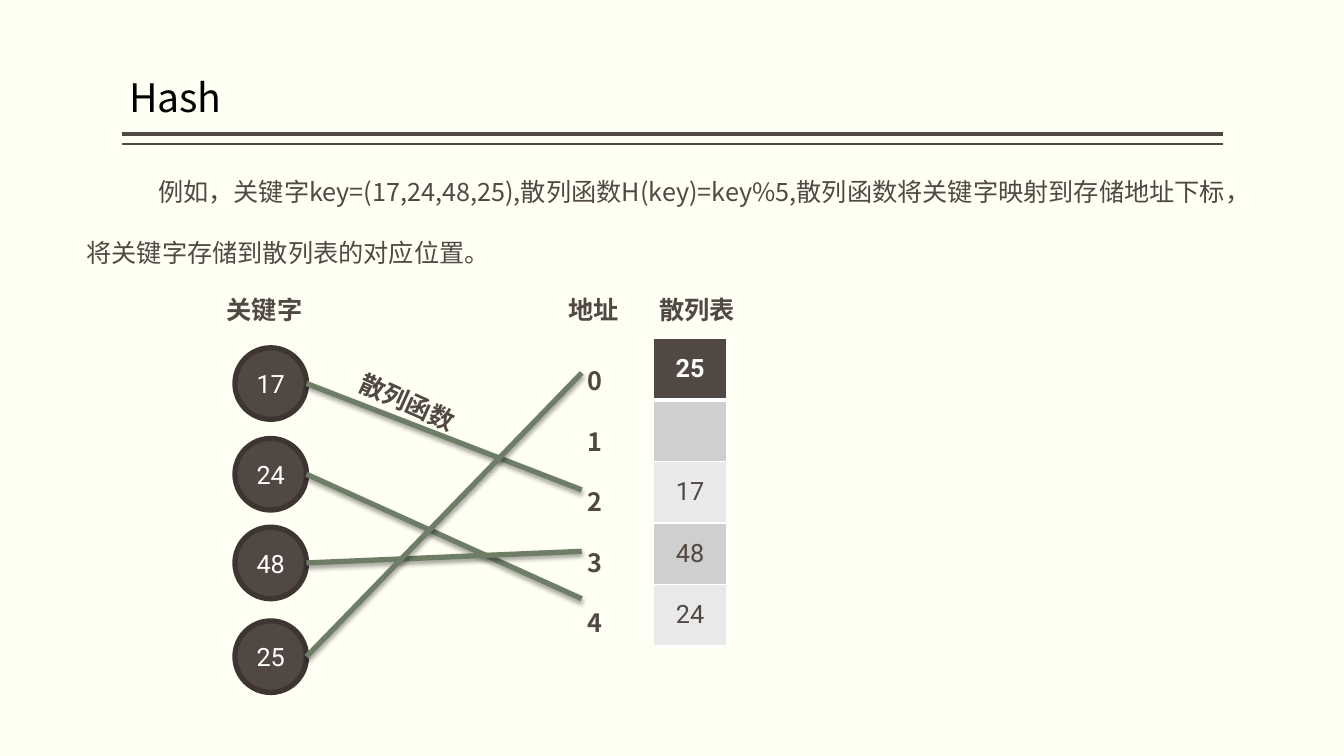
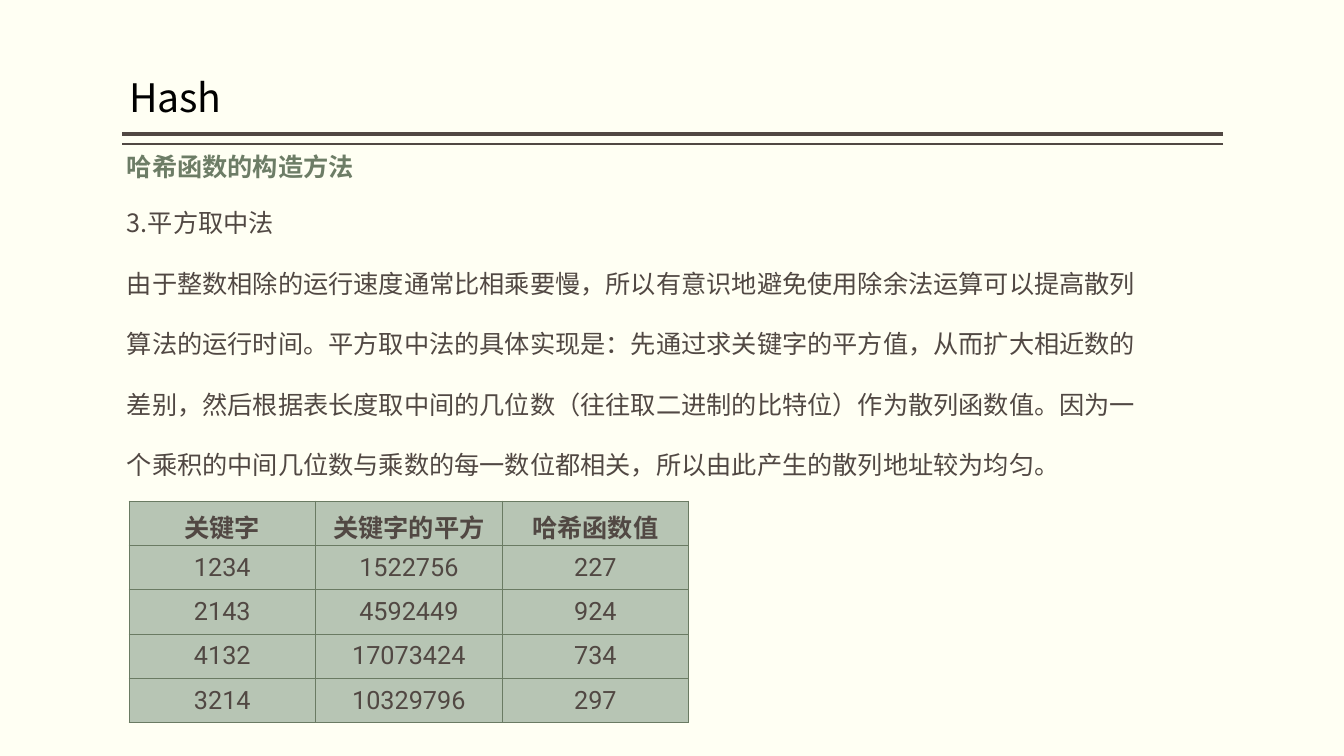
from lxml import etree
from pptx import Presentation
from pptx.dml.color import RGBColor
from pptx.enum.shapes import MSO_CONNECTOR, MSO_SHAPE
from pptx.enum.text import MSO_ANCHOR, PP_ALIGN
from pptx.oxml.ns import qn
from pptx.util import Inches, Pt

STRAIGHT = MSO_CONNECTOR.STRAIGHT
OVAL = MSO_SHAPE.OVAL
TOP, MIDDLE, BOTTOM = MSO_ANCHOR.TOP, MSO_ANCHOR.MIDDLE, MSO_ANCHOR.BOTTOM
CENTER = PP_ALIGN.CENTER

# Shared style
COLORS = {
    "paper": "FFFFF3", "title": "000000", "ink": "514843", "ring": "3C3532",
    "green": "6D7D66", "grid": "6A7B63", "sage": "B7C5B4",
    "white": "FFFFFF", "band_dark": "D0CFCF", "band_light": "E9E9E9",
}
CJK, LATIN = "Noto Sans CJK SC", "Roboto"
BODY_SIZE = 18
FIRST_LINE = 0.71
TITLE = "Hash"
TITLE_RULES = [(1.33, 3), (1.43, 1)]  # y, width in points

# Slide 1: mapping keys to addresses
EXAMPLE = ("例如，关键字key=(17,24,48,25),散列函数H(key)=key%5,"
           "散列函数将关键字映射到存储地址下标，将关键字存储到散列表的对应位置。")
HEADINGS = [("关键字", 2.15), ("地址", 5.54), ("散列表", 6.44)]
ADDRESSES = ["0", "1", "2", "3", "4"]
KEYS = [  # key, circle top, arrival height at its address
    ("17", 3.45, 4.86),
    ("24", 4.35, 5.94),
    ("48", 5.23, 5.47),
    ("25", 6.16, 3.70),
]
HASH_TABLE = [["25"], [""], ["17"], ["48"], ["24"]]
CIRCLE_LEFT, CIRCLE_SIZE, ADDRESS_X = 2.33, 0.71, 5.77

# Slide 2: mid-square method
METHOD_HEADING = "哈希函数的构造方法"
METHOD = [
    "3.平方取中法",
    "由于整数相除的运行速度通常比相乘要慢，所以有意识地避免使用除余法运算可以提高"
    "散列算法的运行时间。平方取中法的具体实现是：先通过求关键字的平方值，从而扩大相近数"
    "的差别，然后根据表长度取中间的几位数（往往取二进制的比特位）作为散列函数值。"
    "因为一个乘积的中间几位数与乘数的每一数位都相关，所以由此产生的散列地址较为均匀。",
]
SQUARES = [
    ["关键字", "关键字的平方", "哈希函数值"],
    ["1234", "1522756", "227"],
    ["2143", "4592449", "924"],
    ["4132", "17073424", "734"],
    ["3214", "10329796", "297"],
]


def rgb(name):
    return RGBColor.from_string(COLORS[name])


def add_run(paragraph, text, size=BODY_SIZE, font=CJK, color="ink", bold=False):
    run = paragraph.add_run()
    run.text = text
    run.font.size = Pt(size)
    run.font.bold = bold
    run.font.color.rgb = rgb(color)
    run.font.name = font
    etree.SubElement(run.font._element, qn("a:ea")).set("typeface", CJK)


def add_text(slide, paragraphs, left, top, width, height, spacing=None,
             indent=0, anchor=TOP, **style):
    box = slide.shapes.add_textbox(
        Inches(left), Inches(top), Inches(width), Inches(height))
    frame = box.text_frame
    frame.word_wrap = True
    frame.vertical_anchor = anchor
    for i, text in enumerate(paragraphs):
        paragraph = frame.add_paragraph() if i else frame.paragraphs[0]
        if indent:
            properties = paragraph._p.get_or_add_pPr()
            properties.set("marL", "0")
            properties.set("indent", str(Inches(indent)))
        if spacing:
            paragraph.line_spacing = spacing
        add_run(paragraph, text, **style)
    return box


def add_line(slide, x1, y1, x2, y2, color, width, shadow=False):
    line = slide.shapes.add_connector(
        STRAIGHT, Inches(x1), Inches(y1), Inches(x2), Inches(y2))
    line.line.color.rgb = rgb(color)
    line.line.width = Pt(width)
    effects = etree.SubElement(line._element.spPr, qn("a:effectLst"))
    if shadow:
        outer = etree.SubElement(
            effects, qn("a:outerShdw"), blurRad=str(Pt(3.5)),
            dist=str(Pt(2)), dir="5400000", rotWithShape="0")
        black = etree.SubElement(outer, qn("a:srgbClr"), val="000000")
        etree.SubElement(black, qn("a:alpha"), val="38000")


def set_borders(cell, color, widths):
    """Widths are points for left, right, top and bottom."""
    properties = cell._tc.get_or_add_tcPr()
    for side, width in zip("LRTB", widths):
        edge = etree.SubElement(properties, qn("a:ln" + side), w=str(Pt(width)))
        fill = etree.SubElement(edge, qn("a:solidFill"))
        etree.SubElement(fill, qn("a:srgbClr"), val=COLORS[color])


def add_grid(slide, rows, left, top, col_width, row_height, border, look,
             margin=None):
    """look(row) gives fill, text colour and border widths for that row."""
    table = slide.shapes.add_table(
        len(rows), len(rows[0]), Inches(left), Inches(top),
        Inches(col_width * len(rows[0])), Inches(row_height * len(rows))).table
    table.horz_banding = False
    for column in table.columns:
        column.width = Inches(col_width)
    for r, values in enumerate(rows):
        table.rows[r].height = Inches(row_height)
        fill, color, widths = look(r)
        for c, value in enumerate(values):
            cell = table.cell(r, c)
            cell.vertical_anchor = MIDDLE
            if margin:
                cell.margin_left = cell.margin_right = Inches(margin)
                cell.margin_top = cell.margin_bottom = Inches(margin)
            set_borders(cell, border, widths)
            cell.fill.solid()
            cell.fill.fore_color.rgb = rgb(fill)
            paragraph = cell.text_frame.paragraphs[0]
            paragraph.alignment = CENTER
            if value:
                add_run(paragraph, value, font=LATIN, color=color, bold=r == 0)


def add_key(slide, key, top):
    circle = slide.shapes.add_shape(
        OVAL, Inches(CIRCLE_LEFT), Inches(top),
        Inches(CIRCLE_SIZE), Inches(CIRCLE_SIZE))
    circle.shadow.inherit = False
    circle.fill.solid()
    circle.fill.fore_color.rgb = rgb("ink")
    circle.line.color.rgb = rgb("ring")
    circle.line.width = Pt(3.78)
    circle.text_frame.vertical_anchor = MIDDLE
    paragraph = circle.text_frame.paragraphs[0]
    paragraph.alignment = CENTER
    add_run(paragraph, key, font=LATIN, color="white")


def new_slide(prs):
    slide = prs.slides.add_slide(prs.slide_layouts[6])
    for y, width in TITLE_RULES:
        add_line(slide, 12.13, y, 1.21, y, "ink", width)
    title = add_text(slide, [TITLE], 1.28, 0.63, 9.83, 0.62, spacing=0.9,
                     anchor=BOTTOM, size=28, color="title")
    title.text_frame.margin_left = title.text_frame.margin_right = 0
    return slide


def hash_row_look(r):
    if r == 0:
        return "ink", "white", (1, 1, 1, 3)
    fill = "band_dark" if r % 2 else "band_light"
    return fill, "ink", (1, 1, 3 if r == 1 else 1, 1)


def squares_row_look(r):
    return "sage", "ink", (0.5,) * 4


def build_mapping(prs):
    slide = new_slide(prs)
    add_text(slide, [EXAMPLE], 0.76, 1.4, 11.56, 1.22,
             spacing=2, indent=FIRST_LINE)
    for key, top, _ in KEYS:
        add_key(slide, key, top)
    for heading, left in HEADINGS:
        add_text(slide, [heading], left, 2.87, 1.13, 0.4, bold=True)
    add_text(slide, ADDRESSES, 5.02, 3.28, 1.82, 3.04,
             spacing=2, indent=FIRST_LINE, bold=True)
    for _, top, arrival in KEYS:
        add_line(slide, CIRCLE_LEFT + CIRCLE_SIZE, top + CIRCLE_SIZE / 2,
                 ADDRESS_X, arrival, "green", 3.78, shadow=True)
    function_label = add_text(slide, ["散列函数"], 3.44, 3.82, 1.37, 0.4, bold=True)
    function_label.rotation = 24.2
    add_grid(slide, HASH_TABLE, 6.48, 3.36, 0.73, 0.61, "white", hash_row_look)


def build_mid_square(prs):
    slide = new_slide(prs)
    add_text(slide, [METHOD_HEADING], 1.16, 1.45, 6.66, 0.4,
             color="green", bold=True)
    add_text(slide, METHOD, 1.16, 1.71, 10.41, 3.04, spacing=2)
    add_grid(slide, SQUARES, 1.28, 4.97, 1.85, 0.43, "grid",
             squares_row_look, margin=0.07)


def main():
    prs = Presentation()
    prs.slide_width, prs.slide_height = Inches(13.33), Inches(7.5)
    background = prs.slide_master.background.fill
    background.solid()
    background.fore_color.rgb = rgb("paper")
    build_mapping(prs)
    build_mid_square(prs)
    prs.save("out.pptx")


if __name__ == "__main__":
    main()
